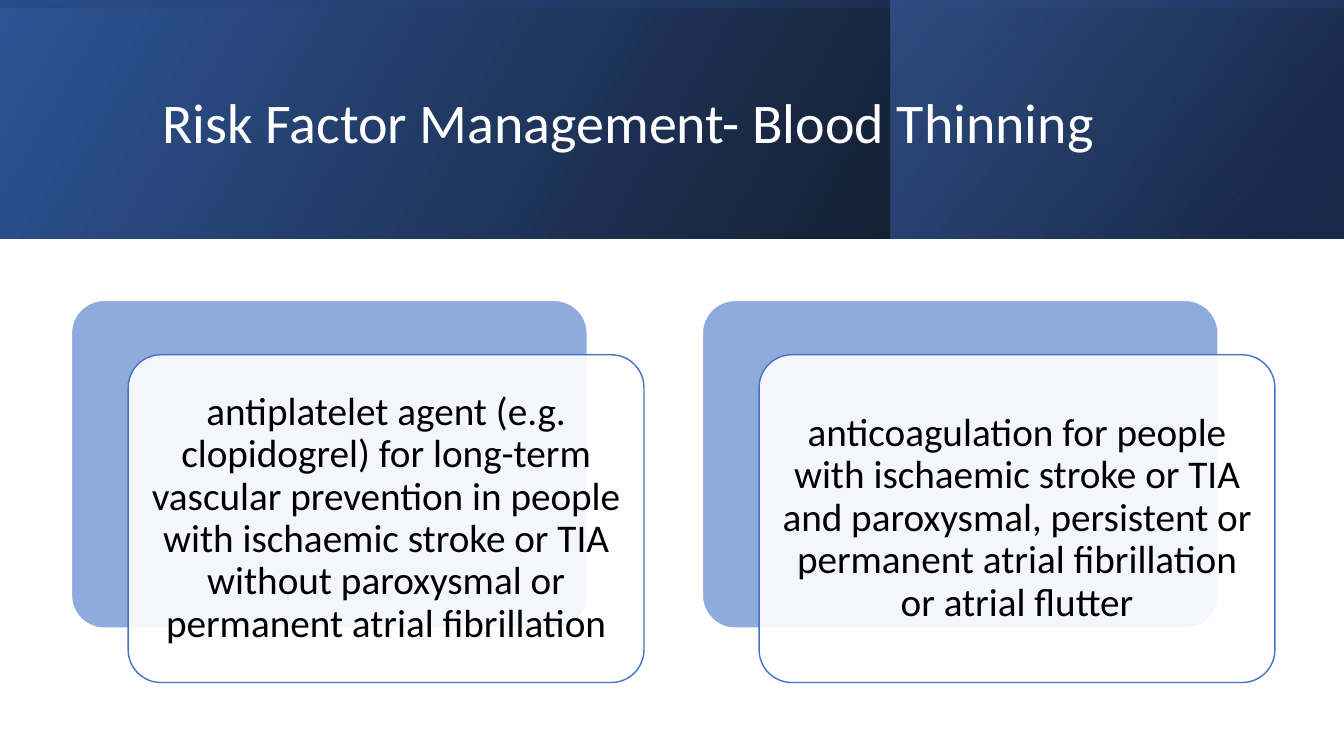
from lxml import etree
from pptx import Presentation
from pptx import util as u
from pptx.dml.color import RGBColor
from pptx.enum import shapes, text
from pptx.oxml.ns import qn

COLORS = {
    "white": "FFFFFF", "black": "000000", "navy": "203864",
    "deep": "2F5597", "blue": "4472C4", "pale": "8FAADC",
}


def rgb(name):
    return RGBColor.from_string(COLORS[name])


def add_alpha(color, percent):
    etree.SubElement(color, qn("a:alpha"), val=str(percent * 1000))


prs = Presentation()
prs.slide_width, prs.slide_height = u.Cm(33.87), u.Cm(19.05)
s = prs.slides.add_slide(prs.slide_layouts[5])
tree = s.shapes

bands = [
    (0, 0, 33.87, 6.02, 0, 330, [(0, "black", 96), (100, "deep", 100)]),
    (22.45, 0, 11.42, 6.02, 0, 320, [(19, "navy", 68), (100, "blue", 48)]),
    (13.92, -13.92, 6.02, 33.87, 270, 350, [(23, "deep", 16), (99, "black", 45)]),
]
for left, top, width, height, rotation, angle, stops in bands:
    sp = tree.add_shape(shapes.MSO_SHAPE.RECTANGLE, u.Cm(left), u.Cm(top), u.Cm(width), u.Cm(height))
    sp.shadow.inherit = False
    sp.rotation = rotation
    sp.line.fill.background()
    sp.element.spPr.find(qn("a:xfrm")).set("flipH", "1")
    sp.fill.gradient()
    grad = sp.element.spPr.find(qn("a:gradFill"))
    grad.find(qn("a:lin")).set("ang", str(angle * 60000))
    grad.find(qn("a:lin")).set("scaled", "0")
    for stop, (position, name, opacity) in zip(sp.fill.gradient_stops, stops):
        stop.position = position / 100
        stop.color.rgb = rgb(name)
        add_alpha(grad.findall(".//" + qn("a:srgbClr"))[stops.index((position, name, opacity))], opacity)

title = tree.title
title.left, title.top, title.width, title.height = u.Cm(3.84), u.Cm(0.97), u.Cm(27), u.Cm(4.37)
tree._spTree.append(title.element)
tf = title.text_frame
tf.text = "Risk Factor Management- Blood Thinning"
tf.auto_size = text.MSO_AUTO_SIZE.NONE
tf.vertical_anchor = text.MSO_ANCHOR.MIDDLE
p = tf.paragraphs[0]
p.alignment = text.PP_ALIGN.LEFT
p.line_spacing = 0.9
r = p.runs[0]
r.font.name, r.font.size = "Calibri", u.Pt(40)
r.font.color.rgb = rgb("white")

treatments = [
    "antiplatelet agent (e.g. clopidogrel) for long-term vascular prevention in people "
    "with ischaemic stroke or TIA without paroxysmal or permanent atrial fibrillation",
    "anticoagulation for people with ischaemic stroke or TIA and paroxysmal, persistent "
    "or permanent atrial fibrillation or atrial flutter",
]
for i, treatment in enumerate(treatments):
    left = 1.8 + i * 15.9
    for dx, dy, fill, line in [(0, 0, "pale", "white"), (1.43, 1.37, "white", "blue")]:
        sp = tree.add_shape(shapes.MSO_SHAPE.ROUNDED_RECTANGLE,
                            u.Cm(left + dx), u.Cm(7.57 + dy), u.Cm(13), u.Cm(8.26))
        sp.shadow.inherit = False
        sp.adjustments[0] = 0.1
        sp.fill.solid()
        sp.fill.fore_color.rgb = rgb(fill)
        sp.line.color.rgb = rgb(line)
        sp.line.width = u.Pt(1)
    add_alpha(sp.element.spPr.find(qn("a:solidFill"))[0], 90)
    tf = sp.text_frame
    tf.text = treatment
    tf.word_wrap = True
    tf.vertical_anchor = text.MSO_ANCHOR.MIDDLE
    tf.margin_left = tf.margin_right = tf.margin_top = tf.margin_bottom = u.Cm(0.3)
    p = tf.paragraphs[0]
    p.alignment = text.PP_ALIGN.CENTER
    p.line_spacing = 0.9
    r = p.runs[0]
    r.font.name, r.font.size = "Calibri", u.Pt(28)
    r.font.color.rgb = rgb("black")

prs.save("out.pptx")
